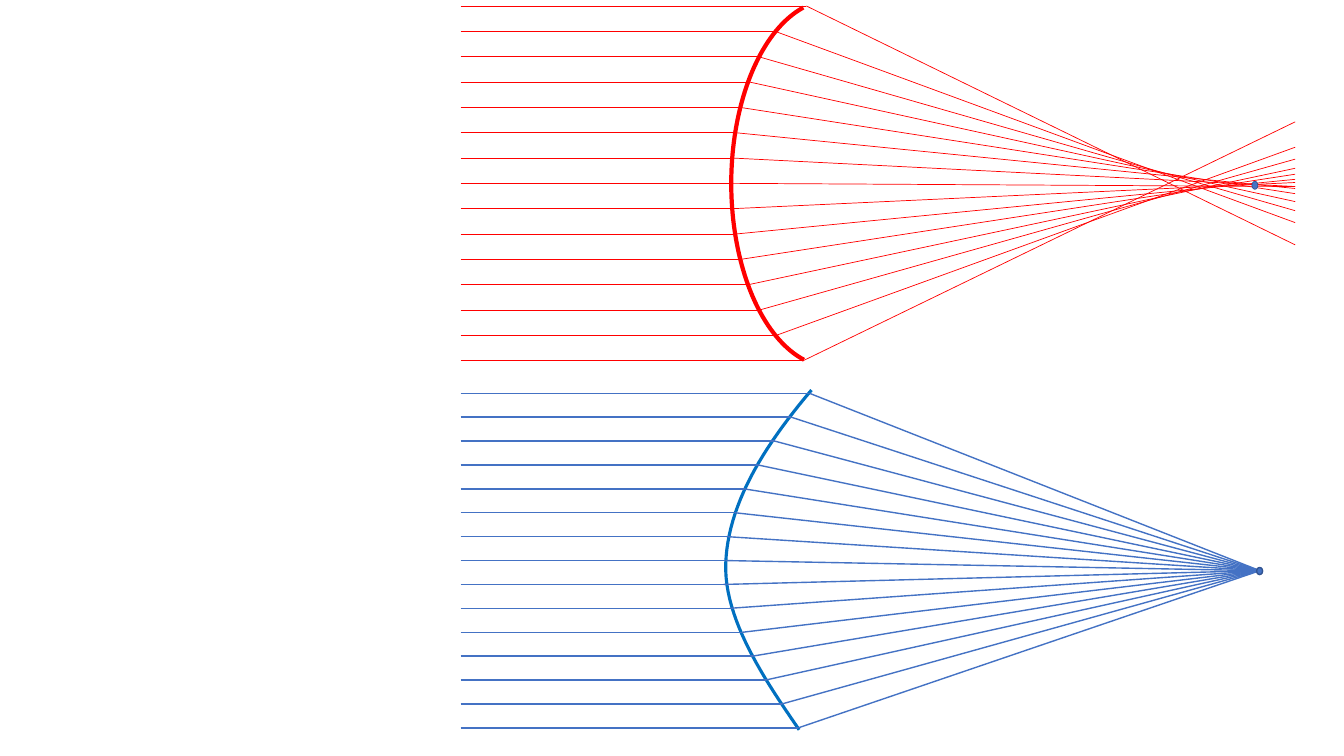
"""Draw parallel rays focused by a spherical and by an aspheric surface."""
from pptx import Presentation
from pptx import util as u
from pptx.dml.color import RGBColor
from pptx.enum import shapes as s
from pptx.oxml.ns import qn
from lxml import etree

RED, BLUE, CURVE, EDGE = "FF0000", "4472C4", "0070C0", "325491"
LEFT, COUNT = 11.61, 15


def paint(item, color, width):
    item.line.color.rgb = RGBColor.from_string(color)
    item.line.width = u.Pt(width)
    props = item._element.spPr
    if props.find(qn("a:effectLst")) is None:
        etree.SubElement(props, qn("a:effectLst"))


def ray(x1, y1, x2, y2, color, width):
    line = slide.shapes.add_connector(
        s.MSO_CONNECTOR.STRAIGHT, u.Cm(x1), u.Cm(y1), u.Cm(x2), u.Cm(y2))
    paint(line, color, width)


deck = Presentation()
deck.slide_width, deck.slide_height = u.Cm(33.87), u.Cm(19.05)
slide = deck.slides.add_slide(deck.slide_layouts[6])

beziers = [
    [(20.45, 9.83), (19.2, 11.3), (18.34, 12.75), (18.29, 14.2)],
    [(18.29, 14.2), (18.24, 15.62), (19.3, 17.17), (20.14, 18.39)],
]
points = []
for curve in beziers:
    for step in range(25):
        t = step / 24
        weights = ((1 - t) ** 3, 3 * t * (1 - t) ** 2, 3 * t * t * (1 - t), t ** 3)
        points.append(tuple(
            u.Cm(sum(w * p[axis] for w, p in zip(weights, curve)))
            for axis in (0, 1)))
pen = slide.shapes.build_freeform(*points[0])
pen.add_line_segments(points[1:], close=False)
lens = pen.convert_to_shape()
lens.fill.background()
paint(lens, CURVE, 2.25)

arc = slide.shapes.add_shape(
    s.MSO_SHAPE.ARC, u.Cm(18.43), u.Cm(0), u.Cm(5.08), u.Cm(9.25))
arc.adjustments[0], arc.adjustments[1] = 167.559, 48.583
arc._element.spPr.find(qn("a:xfrm")).set("flipH", "1")
arc.fill.background()
paint(arc, RED, 3)

blue_hits = [20.4, 19.94, 19.52, 19.1, 18.75, 18.52, 18.31, 18.28,
             18.24, 18.39, 18.72, 18.97, 19.3, 19.71, 20.12]
red_hits = [20.32, 19.53, 19.11, 18.88, 18.64, 18.52, 18.43, 18.43,
            18.47, 18.54, 18.67, 18.86, 19.14, 19.56, 20.24]
red_ends = [6.17, 5.61, 5.31, 5.08, 4.88, 4.75, 4.7, 4.7,
            4.6, 4.52, 4.39, 4.24, 4.01, 3.71, 3.07]
beams = [
    (blue_hits, 9.91, 8.43, 31.75, [14.38] * COUNT, BLUE, 1),
    (red_hits, 0.15, 8.94, 32.64, red_ends, RED, 0.5),
]
for hits, top, span, far, ends, color, width in beams:
    for i, (hit, end) in enumerate(zip(hits, ends)):
        y = top + span * i / (COUNT - 1)
        ray(LEFT, y, hit, y, color, width)
        ray(hit, y, far, end, color, width)

for x, y, high, width in [(31.67, 14.3, 0.18, 1), (31.55, 4.57, 0.2, 0.5)]:
    focus = slide.shapes.add_shape(
        s.MSO_SHAPE.OVAL, u.Cm(x), u.Cm(y), u.Cm(0.15), u.Cm(high))
    focus.fill.solid()
    focus.fill.fore_color.rgb = RGBColor.from_string(BLUE)
    paint(focus, EDGE, width)

deck.save("out.pptx")
